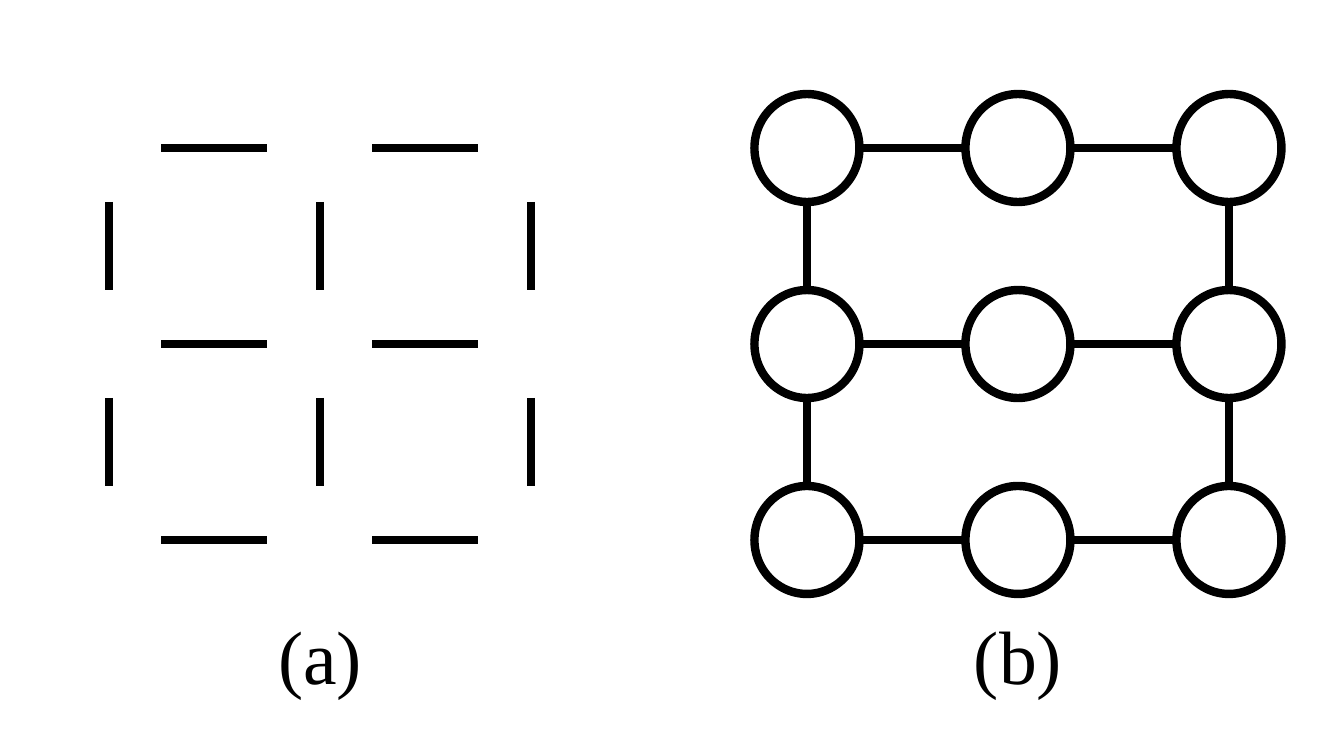
from pptx import Presentation
from pptx.dml.color import RGBColor
from pptx.enum.shapes import MSO_CONNECTOR as LINE, MSO_SHAPE as SHAPE
from pptx.enum.text import PP_ALIGN as ALIGN
from pptx.oxml.ns import qn
from pptx.util import Pt
from lxml.etree import SubElement

# Content: each panel's caption, first column centre, node visibility and joined columns
PANELS = [
    dict(caption="(a)", left=109, nodes=False, vertical_cols=(0, 1, 2)),
    dict(caption="(b)", left=807, nodes=True, vertical_cols=(0, 2)),
]

# Grid and theme, lengths in px
SLIDE_W, SLIDE_H = 1344, 756
TOP, PITCH_X, PITCH_Y, SIZE = 148, 211, 196, 3
NODE_W, NODE_H = 105, 108
CAPTION_TOP, CAPTION_W, CAPTION_H = 604, 108, 102
THEME = dict(ink=RGBColor(0, 0, 0), paper=RGBColor(255, 255, 255),
             stroke=Pt(6), font="Times New Roman", caption=Pt(54))


def px(n):
    return round(n * 914400 / 100.8)


def set_stroke(shape):
    shape.line.color.rgb = THEME["ink"]
    shape.line.width = THEME["stroke"]


def add_edge(group, x1, y1, x2, y2):
    edge = group.shapes.add_connector(LINE.STRAIGHT, px(x1), px(y1), px(x2), px(y2))
    set_stroke(edge)
    SubElement(edge._element.spPr, qn("a:effectLst"))


def add_node(group, x, y):
    node = group.shapes.add_shape(SHAPE.OVAL, px(x - NODE_W / 2), px(y - NODE_H / 2),
                                  px(NODE_W), px(NODE_H))
    node.shadow.inherit = False
    node.fill.solid()
    node.fill.fore_color.rgb = THEME["paper"]
    set_stroke(node)


def add_caption(s, text, centre):
    box = s.shapes.add_textbox(px(centre - CAPTION_W / 2), px(CAPTION_TOP),
                               px(CAPTION_W), px(CAPTION_H))
    box.text_frame.word_wrap = False
    p = box.text_frame.paragraphs[0]
    p.alignment = ALIGN.CENTER
    r = p.add_run()
    r.text = text
    for name, value in dict(name=THEME["font"], size=THEME["caption"]).items():
        setattr(r.font, name, value)
    r.font.color.rgb = THEME["ink"]


def add_panel(s, caption, left, nodes, vertical_cols):
    xs = [left + i * PITCH_X for i in range(SIZE)]
    ys = [TOP + i * PITCH_Y for i in range(SIZE)]
    group = s.shapes.add_group_shape()
    # Nodes
    if nodes:
        for y in ys:
            for x in xs:
                add_node(group, x, y)
    # Horizontal edges
    for y in ys:
        for x1, x2 in zip(xs, xs[1:]):
            add_edge(group, x1 + NODE_W / 2, y, x2 - NODE_W / 2, y)
    # Vertical edges
    for y1, y2 in zip(ys, ys[1:]):
        for col in vertical_cols:
            add_edge(group, xs[col], y1 + NODE_H / 2, xs[col], y2 - NODE_H / 2)
    add_caption(s, caption, xs[SIZE // 2])


def main():
    prs = Presentation()
    prs.slide_width, prs.slide_height = px(SLIDE_W), px(SLIDE_H)
    s = prs.slides.add_slide(prs.slide_layouts[6])
    for panel in PANELS:
        add_panel(s, **panel)
    prs.save("out.pptx")


if __name__ == "__main__":
    main()
